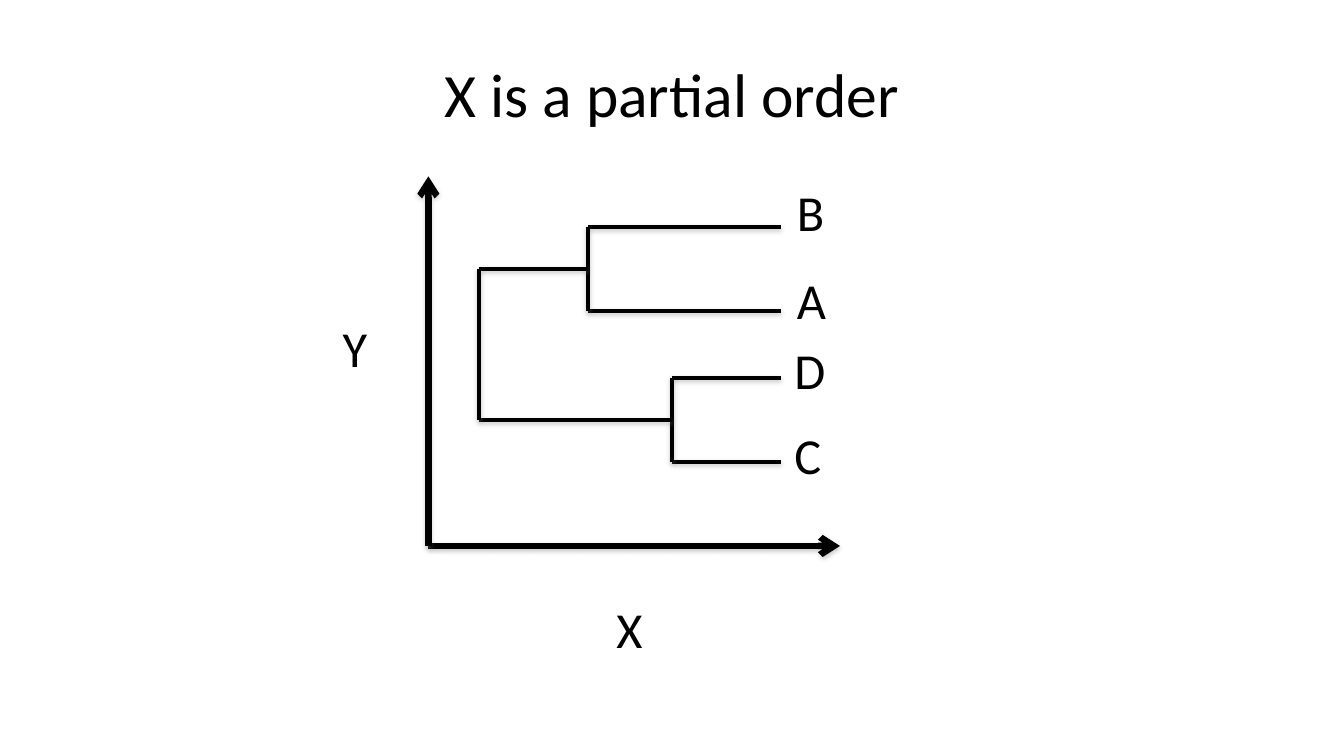
import pptx
import pptx.util
import pptx.dml.color
import pptx.enum.shapes
import pptx.enum.text
import lxml.etree
from pptx.oxml.ns import qn

BLACK = pptx.dml.color.RGBColor(0x00, 0x00, 0x00)
GREY = pptx.dml.color.RGBColor(0x80, 0x80, 0x80)
ALIGN = pptx.enum.text.PP_ALIGN
ANCHOR = pptx.enum.text.MSO_ANCHOR

deck = pptx.Presentation()
deck.slide_width = pptx.util.Inches(13.333)
deck.slide_height = pptx.util.Inches(7.5)
slide = deck.slides.add_slide(deck.slide_layouts[6])

# The slide is a grid of 160 columns by 90 rows.
UNIT = deck.slide_width / 160


def add_text(text, col, row, cols, rows, size=36, align=ALIGN.LEFT,
             anchor=ANCHOR.TOP, wrap=False):
    box = slide.shapes.add_textbox(*(round(n * UNIT) for n in (col, row, cols, rows)))
    frame = box.text_frame
    frame.word_wrap = wrap
    frame.vertical_anchor = anchor
    if not wrap:
        frame.auto_size = pptx.enum.text.MSO_AUTO_SIZE.SHAPE_TO_FIT_TEXT
    para = frame.paragraphs[0]
    para.alignment = align
    run = para.add_run()
    run.text = text
    run.font.name = "Calibri"
    run.font.size = pptx.util.Pt(size)
    run.font.color.rgb = BLACK


def add_line(start, end, width=3, arrow=False):
    """Join two grid points with a softly shadowed black line."""
    ends = [round(n * UNIT) for n in (*start, *end)]
    line = slide.shapes.add_connector(pptx.enum.shapes.MSO_CONNECTOR.STRAIGHT, *ends)
    line.line.color.rgb = BLACK
    line.line.width = pptx.util.Pt(width)
    if arrow:
        lxml.etree.SubElement(line.line._get_or_add_ln(), qn("a:tailEnd"), type="arrow")
    props = line._element.spPr
    effect = lxml.etree.SubElement(props, qn("a:effectLst"))
    shadow = lxml.etree.SubElement(effect, qn("a:outerShdw"), blurRad="40000",
                                   dist="20000", dir="5400000", rotWithShape="0")
    tint = lxml.etree.SubElement(shadow, qn("a:srgbClr"), val=str(GREY))
    lxml.etree.SubElement(tint, qn("a:alpha"), val="38000")


# Axes
origin = (51, 65)
for tip in ((100, 65), (51, 21)):
    add_line(origin, tip, width=4.5, arrow=True)

# Tree: each fork has a column, two branch rows and the column of each tip
forks = (
    (70, (27, 37), (93, 93)),
    (80, (45, 55), (93, 93)),
    (57, (32, 50), (70, 80)),
)
for col, rows, tips in forks:
    for row, tip in zip(rows, tips):
        add_line((col, row), (tip, row))
    add_line((col, rows[0]), (col, rows[1]))

# Labels of the axes and the leaves
labels = (
    ("X", 72.2, 70.6, 5.6),
    ("Y", 39.6, 37.2, 5.4),
    ("B", 93.7, 21, 5.8),
    ("A", 93.7, 31.4, 6),
    ("D", 93.4, 39.8, 6.1),
    ("C", 93.4, 49.9, 5.6),
)
for text, col, row, cols in labels:
    add_text(text, col, row, cols, 8.5)

add_text("X is a partial order", 8, 3.6, 144, 15, size=44,
         align=ALIGN.CENTER, anchor=ANCHOR.MIDDLE, wrap=True)

deck.save("out.pptx")
